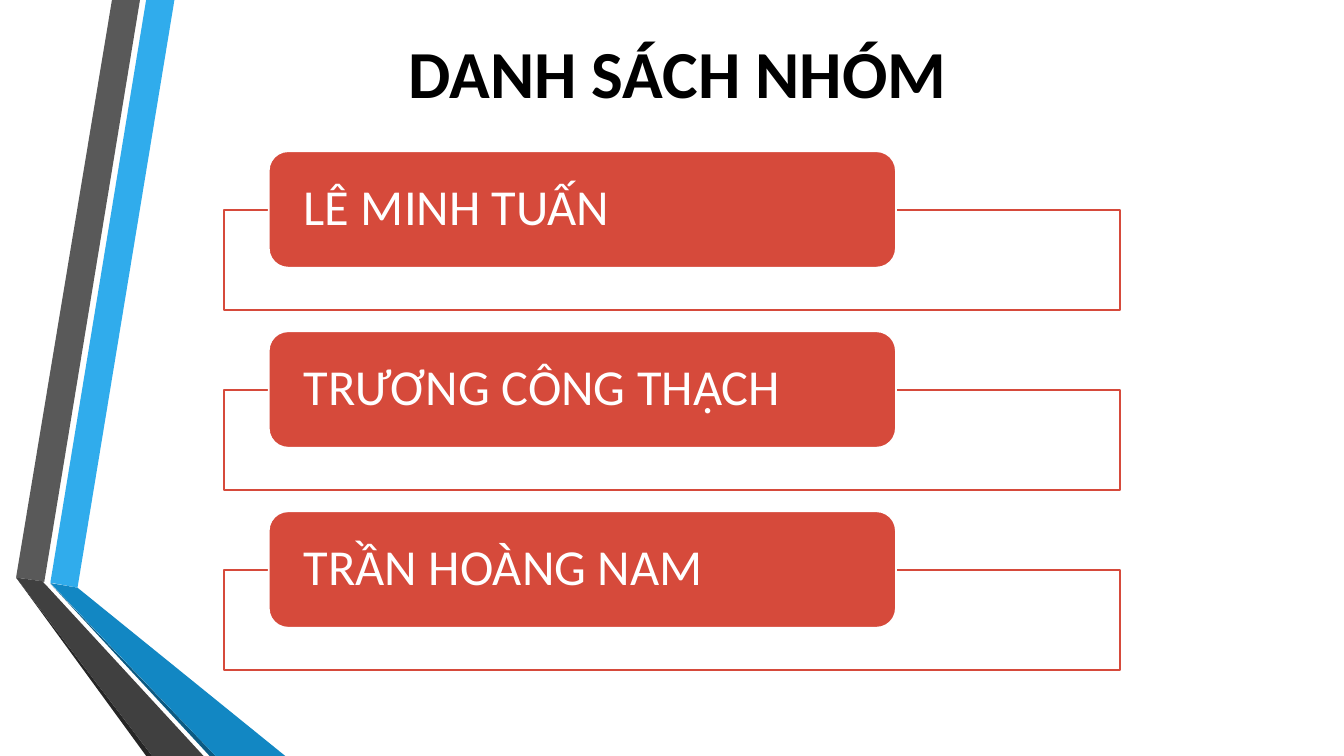
from pptx import Presentation
from pptx.dml.color import RGBColor
from pptx.enum.shapes import MSO_SHAPE
from pptx.enum.text import MSO_ANCHOR, PP_ALIGN
from pptx.util import Pt

RECTANGLE, ROUNDED = MSO_SHAPE.RECTANGLE, MSO_SHAPE.ROUNDED_RECTANGLE
TOP, MIDDLE = MSO_ANCHOR.TOP, MSO_ANCHOR.MIDDLE
LEFT, CENTER = PP_ALIGN.LEFT, PP_ALIGN.CENTER

BLACK = RGBColor(0x00, 0x00, 0x00)
WHITE = RGBColor(0xFF, 0xFF, 0xFF)
RED = RGBColor(0xD6, 0x4A, 0x3B)
SKY = RGBColor(0x30, 0xAC, 0xEC)
BLUE = RGBColor(0x12, 0x87, 0xC3)
NAVY = RGBColor(0x0C, 0x5A, 0x82)
GRAY = RGBColor(0x59, 0x59, 0x59)
DARK_GRAY = RGBColor(0x40, 0x40, 0x40)
CHARCOAL = RGBColor(0x26, 0x26, 0x26)

RIBBONS = [
    (SKY, [(36, 416.2), (55.4, 419.8), (124.6, 0), (104.4, 0)]),
    (GRAY, [(100, 0), (80, 0), (11.5, 412.6), (31.7, 415.4)]),
    (CHARCOAL, [(11.5, 412.6), (104.4, 540), (108.7, 540)]),
    (NAVY, [(36, 416.9), (149.8, 540), (154.1, 540)]),
    (BLUE, [(36, 416.5), (154.1, 540), (203.8, 540), (55.4, 419.8)]),
    (DARK_GRAY, [(145.4, 540), (34.6, 419.8), (31, 416), (31.7, 415.4),
                 (11.5, 412.6), (108.7, 540)]),
]

MEMBERS = ["LÊ MINH TUẤN", "TRƯƠNG CÔNG THẠCH", "TRẦN HOÀNG NAM"]
FIRST_TOP, ROW_PITCH, FRAME_DROP = 108, 128.6, 41.8


class SlideBuilder:
    font_name = "Calibri"

    def __init__(self, page):
        self.page = page

    def set_text(self, box, text, size, color, align, anchor, spacing=1.0,
                 bold=False):
        frame = box.text_frame
        frame.text = text
        frame.word_wrap = True
        frame.vertical_anchor = anchor
        para = frame.paragraphs[0]
        para.alignment = align
        para.line_spacing = spacing
        font = para.runs[0].font
        font.name, font.size, font.bold = self.font_name, Pt(size), bold
        font.color.rgb = color

    def title(self, text, left, top, width, height):
        box = self.page.shapes.title
        box.left, box.top, box.width, box.height = map(
            Pt, (left, top, width, height))
        self.set_text(box, text, 48, BLACK, CENTER, TOP, bold=True)

    def ribbon(self, color, points):
        corners = [(Pt(x), Pt(y)) for x, y in points]
        builder = self.page.shapes.build_freeform(*corners[0], scale=1.0)
        builder.add_line_segments(corners[1:], close=True)
        shape = builder.convert_to_shape()
        shape.shadow.inherit = False
        shape.fill.solid()
        shape.fill.fore_color.rgb = color
        shape.line.fill.background()

    def panel(self, kind, left, top, width, height, fill, line):
        shape = self.page.shapes.add_shape(
            kind, Pt(left), Pt(top), Pt(width), Pt(height))
        shape.shadow.inherit = False
        shape.fill.solid()
        shape.fill.fore_color.rgb = fill
        shape.line.color.rgb = line
        shape.line.width = Pt(1.25)
        return shape

    def member(self, name, top):
        self.panel(RECTANGLE, 160, top + FRAME_DROP, 640, 71.4, WHITE, RED)
        label = self.panel(ROUNDED, 192, top, 448, 83.2, RED, WHITE)
        frame = label.text_frame
        frame.margin_left = frame.margin_right = Pt(21)
        frame.margin_top = frame.margin_bottom = 0
        self.set_text(label, name, 36, WHITE, LEFT, MIDDLE, spacing=0.9)


def main():
    deck = Presentation()
    deck.slide_width, deck.slide_height = Pt(960), Pt(540)
    title_only = deck.slide_layouts[5]
    builder = SlideBuilder(deck.slides.add_slide(title_only))
    for color, points in RIBBONS:
        builder.ribbon(color, points)
    for row, name in enumerate(MEMBERS):
        builder.member(name, FIRST_TOP + row * ROW_PITCH)
    builder.title("DANH SÁCH NHÓM", 147.6, 18.7, 673.2, 65.5)
    deck.save("out.pptx")


if __name__ == "__main__":
    main()
